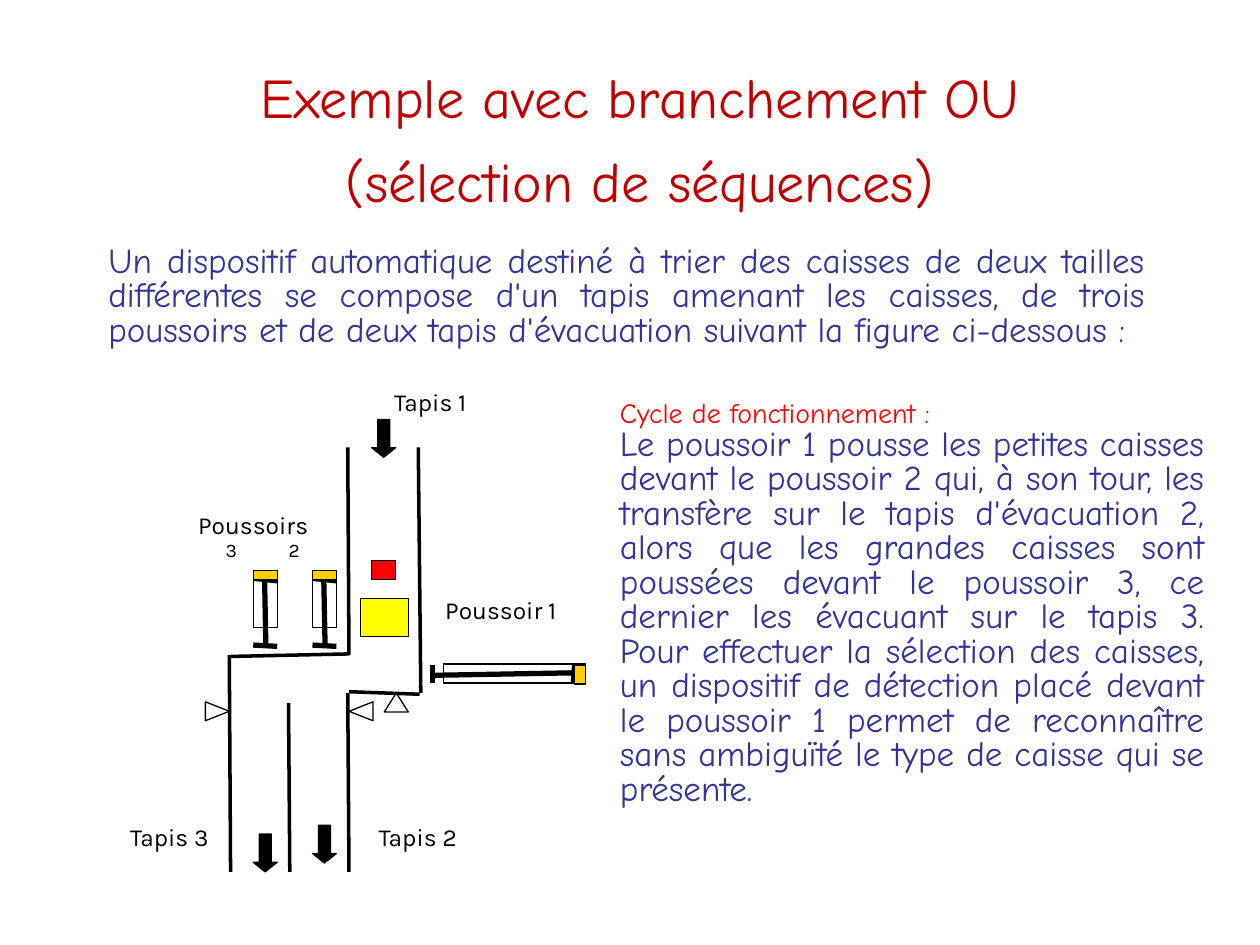
from dataclasses import dataclass

import lxml.etree
import pptx
import pptx.dml.color
import pptx.enum.shapes
import pptx.enum.text
import pptx.oxml.ns
import pptx.util

PX = 9144
SHAPE = pptx.enum.shapes.MSO_SHAPE
ALIGN = pptx.enum.text.PP_ALIGN
COMIC, KARLA = "Comic Neue", "Karla"
BLACK, BLUE, GOLD = "000000", "333399", "FFCF01"


@dataclass
class Para:
    text: str
    size: int
    color: str
    spacing: float
    align: int
    font: str = COMIC
    tabs: tuple[int, ...] = ()


@dataclass
class Line:
    x1: int
    y1: int
    x2: int
    y2: int
    width: int = 2


@dataclass
class Block:
    kind: int
    x: int
    y: int
    w: int
    h: int
    fill: str | None = None
    rotation: int = 0


@dataclass
class Label:
    x: int
    y: int
    w: int
    h: int
    paras: list[Para]


def emu(px: int) -> int:
    return pptx.util.Emu(px * PX)


def rgb(value: str) -> pptx.dml.color.RGBColor:
    return pptx.dml.color.RGBColor.from_string(value)


def sub(parent, tag: str, **attrs: str):
    return lxml.etree.SubElement(parent, pptx.oxml.ns.qn(tag), attrs)


def write(sp, x: int, y: int, w: int, h: int, paras: list[Para]) -> None:
    sp.left, sp.top, sp.width, sp.height = map(emu, (x, y, w, h))
    tf = sp.text_frame
    tf.word_wrap = True
    tf.auto_size = pptx.enum.text.MSO_AUTO_SIZE.NONE
    tf.vertical_anchor = pptx.enum.text.MSO_ANCHOR.TOP
    tf.margin_left = tf.margin_right = tf.margin_top = tf.margin_bottom = 0
    tf.text = "\n".join(para.text for para in paras)
    for p, para in zip(tf.paragraphs, paras):
        pPr = p._p.get_or_add_pPr()
        pPr.set("marL", "0")
        pPr.set("indent", "0")
        sub(pPr, "a:buNone")
        if para.tabs:
            stops = sub(pPr, "a:tabLst")
            for tab in para.tabs:
                sub(stops, "a:tab", pos=str(emu(tab)), algn="l")
        p.alignment = para.align
        p.line_spacing = pptx.util.Pt(para.spacing)
        p.space_before = p.space_after = pptx.util.Pt(0)
        for r in p.runs:
            r.font.name = para.font
            r.font.size = pptx.util.Pt(para.size)
            r.font.color.rgb = rgb(para.color)


def draw_label(s, label: Label) -> None:
    sp = s.shapes.add_textbox(0, 0, 0, 0)
    write(sp, label.x, label.y, label.w, label.h, label.paras)


def draw_line(s, line: Line) -> None:
    ends = map(emu, (line.x1, line.y1, line.x2, line.y2))
    sp = s.shapes.add_connector(pptx.enum.shapes.MSO_CONNECTOR.STRAIGHT, *ends)
    sp.line.color.rgb = rgb(BLACK)
    sp.line.width = pptx.util.Pt(line.width)
    sub(sp._element.spPr, "a:effectLst")


def draw_block(s, block: Block) -> None:
    box = map(emu, (block.x, block.y, block.w, block.h))
    sp = s.shapes.add_shape(block.kind, *box)
    sp.shadow.inherit = False
    sp.rotation = block.rotation
    if block.fill:
        sp.fill.solid()
        sp.fill.fore_color.rgb = rgb(block.fill)
    else:
        sp.fill.background()
    sp.line.color.rgb = rgb(BLACK)
    sp.line.width = pptx.util.Pt(0.75)
    if block.kind == SHAPE.DOWN_ARROW:
        sp.adjustments[0], sp.adjustments[1] = 0.5, 0.4


def draw_pusher(s, body: Block, rods: list[Line], cap: Block) -> None:
    draw_block(s, body)
    for rod in rods:
        draw_line(s, rod)
    draw_block(s, cap)


def draw_vertical_pusher(s, x: int) -> None:
    rods = [
        Line(x + 9, 460, x + 10, 512, 3),
        Line(x, 459, x + 19, 461, 3),
        Line(x, 512, x + 19, 513, 3),
    ]
    body = Block(SHAPE.RECTANGLE, x, 453, 19, 45)
    draw_pusher(s, body, rods, Block(SHAPE.RECTANGLE, x, 453, 19, 7, GOLD))


def caption(text: str) -> Para:
    return Para(text, 14, BLACK, 17.1, ALIGN.CENTER, KARLA)


TITLE = [
    Para(text, 32, "C00000", 47.7, ALIGN.CENTER)
    for text in ("Exemple avec branchement OU", "(sélection de séquences)")
]
INTRO = [Para(
    "Un dispositif automatique destiné à trier des caisses de deux tailles "
    "différentes se compose d'un tapis amenant les caisses, de trois poussoirs "
    "et de deux tapis d'évacuation suivant la figure ci-dessous :",
    20, BLUE, 19.7, ALIGN.JUSTIFY)]
CYCLE = [
    Para("Cycle de fonctionnement :", 16, "FF0000", 19.7, ALIGN.JUSTIFY),
    Para(
        "Le poussoir 1 pousse les petites caisses devant le poussoir 2 qui, à son "
        "tour, les transfère sur le tapis d'évacuation 2, alors que les grandes "
        "caisses sont poussées devant le poussoir 3, ce dernier les évacuant sur "
        "le tapis 3. Pour effectuer la sélection des caisses, un dispositif de "
        "détection placé devant le poussoir 1 permet de reconnaître sans ambiguïté "
        "le type de caisse qui se présente.",
        20, BLUE, 19.7, ALIGN.JUSTIFY),
]
BELTS = [
    Line(276, 355, 277, 520),
    Line(332, 355, 334, 550),
    Line(277, 519, 183, 521),
    Line(277, 549, 333, 551),
    Line(182, 520, 183, 692),
    Line(229, 558, 230, 692),
    Line(276, 550, 277, 692),
]
BLOCKS = [
    Block(SHAPE.RECTANGLE, 286, 475, 38, 30, "FFFF00"),
    Block(SHAPE.RECTANGLE, 295, 445, 19, 15, "FF0000"),
    Block(SHAPE.DOWN_ARROW, 295, 333, 19, 30, BLACK),
    Block(SHAPE.DOWN_ARROW, 201, 662, 19, 30, BLACK),
    Block(SHAPE.DOWN_ARROW, 248, 655, 19, 30, BLACK),
    Block(SHAPE.ISOSCELES_TRIANGLE, 165, 555, 15, 19, rotation=90),
    Block(SHAPE.ISOSCELES_TRIANGLE, 279, 555, 15, 19, rotation=270),
    Block(SHAPE.ISOSCELES_TRIANGLE, 305, 550, 19, 15),
]
SIDE_RODS = [
    Line(456, 534, 343, 536, 3),
    Line(456, 528, 455, 543, 3),
    Line(343, 528, 343, 542, 3),
]
NUMBERS = Para("\t3\t2", 11, BLACK, 12.6, ALIGN.LEFT, KARLA, (93, 134))
LABELS = [
    Label(289, 307, 105, 24, [caption("Tapis 1")]),
    Label(82, 652, 105, 24, [caption("Tapis 3")]),
    Label(279, 652, 105, 24, [caption("Tapis 2")]),
    Label(129, 404, 144, 41, [caption("Poussoirs"), NUMBERS]),
    Label(345, 472, 105, 24, [caption("Poussoir 1")]),
]


def main() -> None:
    prs = pptx.Presentation()
    prs.slide_width, prs.slide_height = emu(1000), emu(750)
    s = prs.slides.add_slide(prs.slide_layouts[3])
    title, intro, cycle = s.placeholders
    write(title, 94, 37, 828, 133, TITLE)
    write(intro, 86, 195, 823, 82, INTRO)
    write(cycle, 492, 313, 464, 329, CYCLE)
    for line in BELTS:
        draw_line(s, line)
    for block in BLOCKS:
        draw_block(s, block)
    for x in (201, 248):
        draw_vertical_pusher(s, x)
    side_body = Block(SHAPE.RECTANGLE, 352, 527, 113, 15)
    draw_pusher(s, side_body, SIDE_RODS, Block(SHAPE.RECTANGLE, 456, 528, 9, 15, GOLD))
    for label in LABELS:
        draw_label(s, label)
    prs.save("out.pptx")


if __name__ == "__main__":
    main()
